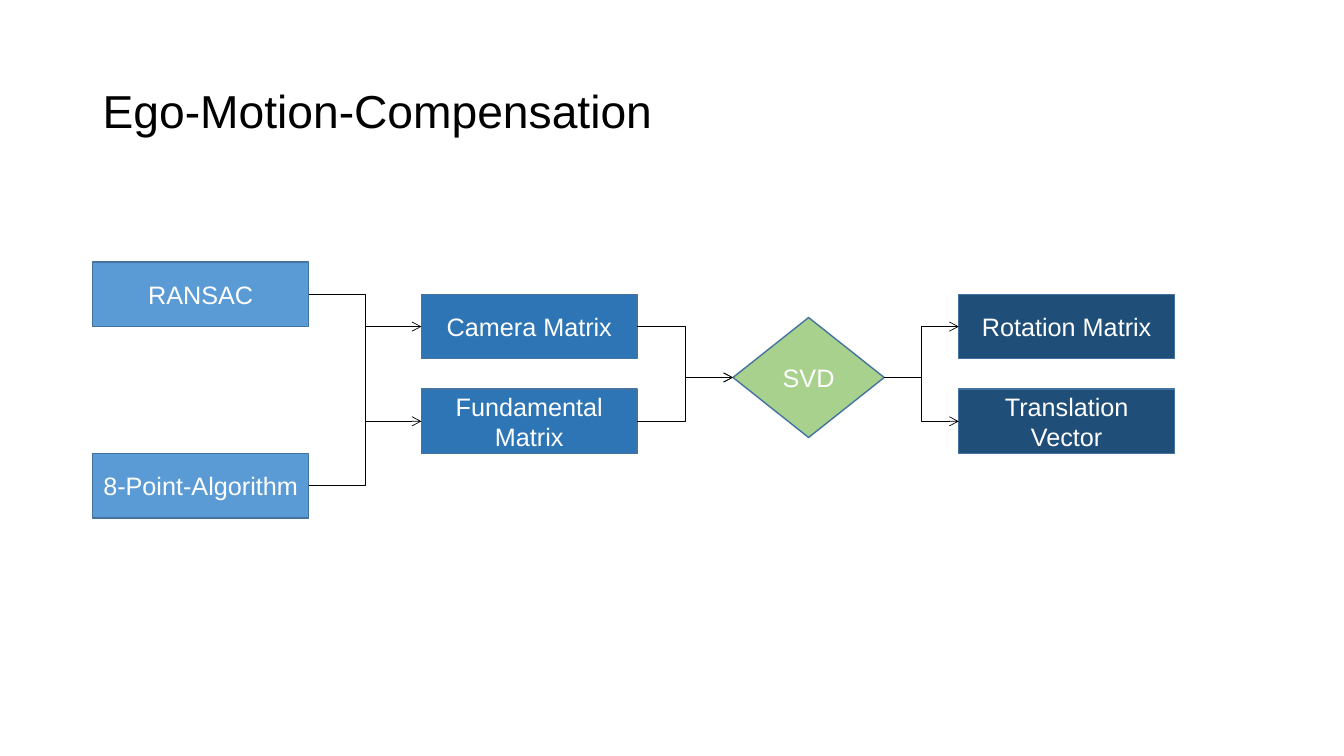
from lxml import etree
from pptx import Presentation
from pptx.dml.color import RGBColor
from pptx.enum.shapes import MSO_CONNECTOR, MSO_SHAPE
from pptx.enum.text import MSO_ANCHOR, PP_ALIGN
from pptx.oxml.ns import qn
from pptx.util import Inches, Pt

ELBOW = MSO_CONNECTOR.ELBOW
RECTANGLE, DIAMOND = MSO_SHAPE.RECTANGLE, MSO_SHAPE.DIAMOND
MIDDLE, CENTER = MSO_ANCHOR.MIDDLE, PP_ALIGN.CENTER
LEFT_SIDE, RIGHT_SIDE = 1, 3

BLACK = RGBColor(0x00, 0x00, 0x00)
WHITE = RGBColor(0xFF, 0xFF, 0xFF)
OUTLINE = RGBColor(0x43, 0x73, 0x9E)
LIGHT_BLUE = RGBColor(0x5B, 0x9B, 0xD5)
MID_BLUE = RGBColor(0x2E, 0x75, 0xB6)
DARK_BLUE = RGBColor(0x1F, 0x4E, 0x79)
GREEN = RGBColor(0xA9, 0xD1, 0x8E)

BOX = (2.14, 0.64)
UPPER, LOWER = 2.92, 3.86


def write(shape, text, size, color):
    frame = shape.text_frame
    frame.word_wrap = True
    frame.vertical_anchor = MIDDLE
    paragraph = frame.paragraphs[0]
    paragraph.text = text
    paragraph.font.name = "Arial"
    paragraph.font.size = Pt(size)
    paragraph.font.color.rgb = color
    return paragraph


prs = Presentation()
prs.slide_width = Inches(13.33)
prs.slide_height = Inches(7.5)
slide = prs.slides.add_slide(prs.slide_layouts[6])

title = slide.shapes.add_textbox(Inches(0.92), Inches(0.4), Inches(11.5), Inches(1.45))
write(title, "Ego-Motion-Compensation", 33, BLACK).line_spacing = 0.9

steps = [
    ("RANSAC", RECTANGLE, 0.92, 2.6, BOX, LIGHT_BLUE),
    ("8-Point-Algorithm", RECTANGLE, 0.92, 4.5, BOX, LIGHT_BLUE),
    ("Camera Matrix", RECTANGLE, 4.18, UPPER, BOX, MID_BLUE),
    ("Fundamental Matrix", RECTANGLE, 4.18, LOWER, BOX, MID_BLUE),
    ("Rotation Matrix", RECTANGLE, 9.51, UPPER, BOX, DARK_BLUE),
    ("Translation Vector", RECTANGLE, 9.51, LOWER, BOX, DARK_BLUE),
    ("SVD", DIAMOND, 7.27, 3.15, (1.5, 1.19), GREEN),
]
nodes = {}
for label, outline, left, top, (width, height), color in steps:
    node = slide.shapes.add_shape(
        outline, Inches(left), Inches(top), Inches(width), Inches(height))
    node.shadow.inherit = False
    node.fill.solid()
    node.fill.fore_color.rgb = color
    node.line.color.rgb = OUTLINE
    node.line.width = Pt(1)
    write(node, label, 18, WHITE).alignment = CENTER
    nodes[label] = node

flows = [
    ("RANSAC", "Fundamental Matrix"),
    ("8-Point-Algorithm", "Camera Matrix"),
    ("Camera Matrix", "SVD"),
    ("Fundamental Matrix", "SVD"),
    ("SVD", "Rotation Matrix"),
    ("SVD", "Translation Vector"),
]
for source, target in flows:
    arrow = slide.shapes.add_connector(ELBOW, 0, 0, 0, 0)
    arrow.begin_connect(nodes[source], RIGHT_SIDE)
    arrow.end_connect(nodes[target], LEFT_SIDE)
    arrow.line.color.rgb = BLACK
    arrow.line.width = Pt(0.5)
    properties = arrow.element.spPr
    etree.SubElement(properties.find(qn("a:ln")), qn("a:tailEnd"), type="arrow")
    etree.SubElement(properties, qn("a:effectLst"))

prs.save("out.pptx")
